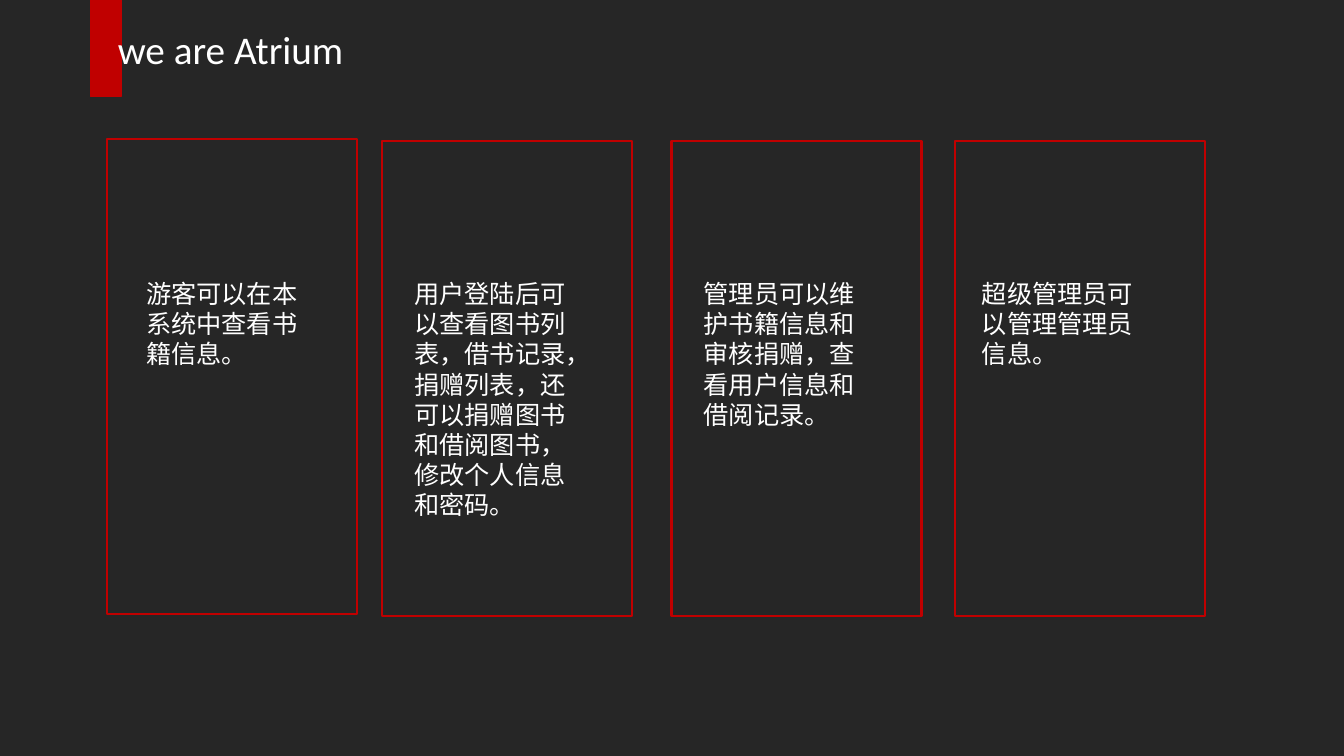
from pptx import Presentation
from pptx.dml.color import RGBColor
from pptx.enum.shapes import MSO_SHAPE
from pptx.enum.text import MSO_AUTO_SIZE
from pptx.util import Emu, Pt

PX = 9144  # 100 px to the inch
DARK = RGBColor(0x26, 0x26, 0x26)
RED = RGBColor(0xC0, 0x00, 0x00)
WHITE = RGBColor(0xFF, 0xFF, 0xFF)
FONT = "Calibri"

CARD_W, CARD_H = 248, 471
TEXT_TOP, TEXT_W = 271, 189
# card left, card top, text left, text height, text
ROLES = [
    (106, 138, 135, 101, "游客可以在本系统中查看书籍信息。"),
    (379, 140, 401, 252,
     "用户登陆后可以查看图书列表，借书记录，捐赠列表，"
     "还可以捐赠图书和借阅图书，修改个人信息和密码。"),
    (666, 140, 688, 192,
     "管理员可以维护书籍信息和审核捐赠，查看用户信息和借阅记录。"),
    (947, 140, 964, 101, "超级管理员可以管理管理员信息。"),
]


def px(*lengths):
    return [Emu(n * PX) for n in lengths]


def add_rect(s, x, y, w, h, line_pt, fill=None):
    sp = s.shapes.add_shape(MSO_SHAPE.RECTANGLE, *px(x, y, w, h))
    sp.shadow.inherit = False
    if fill is None:
        sp.fill.background()
    else:
        sp.fill.solid()
        sp.fill.fore_color.rgb = fill
    sp.line.color.rgb = RED
    sp.line.width = Pt(line_pt)


def add_text(s, x, y, w, h, text, size):
    tf = s.shapes.add_textbox(*px(x, y, w, h)).text_frame
    tf.word_wrap = True
    tf.auto_size = MSO_AUTO_SIZE.SHAPE_TO_FIT_TEXT
    r = tf.paragraphs[0].add_run()
    r.text = text
    r.font.name = FONT
    r.font.size = Pt(size)
    r.font.color.rgb = WHITE


def main():
    prs = Presentation()
    prs.slide_width, prs.slide_height = px(1333, 750)
    s = prs.slides.add_slide(prs.slide_layouts[6])
    s.background.fill.solid()
    s.background.fill.fore_color.rgb = DARK

    add_rect(s, 90, 0, 30, 96, 1, RED)
    add_text(s, 107, 20, 325, 57, "we are Atrium", 28)
    for card_x, card_y, text_x, text_h, text in ROLES:
        add_rect(s, card_x, card_y, CARD_W, CARD_H, 1.5)
        add_text(s, text_x, TEXT_TOP, TEXT_W, text_h, text, 18)

    prs.save("out.pptx")


if __name__ == "__main__":
    main()
